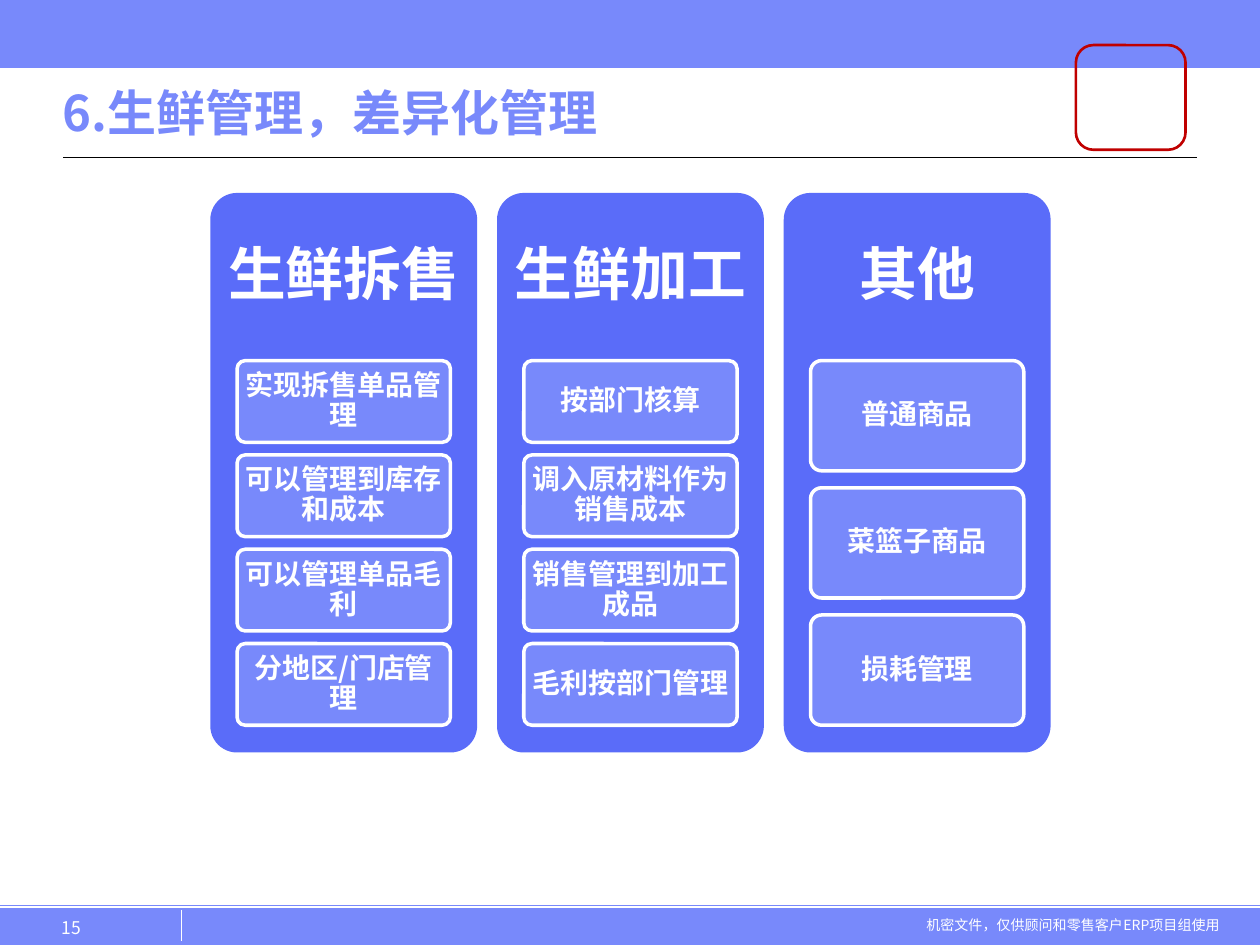
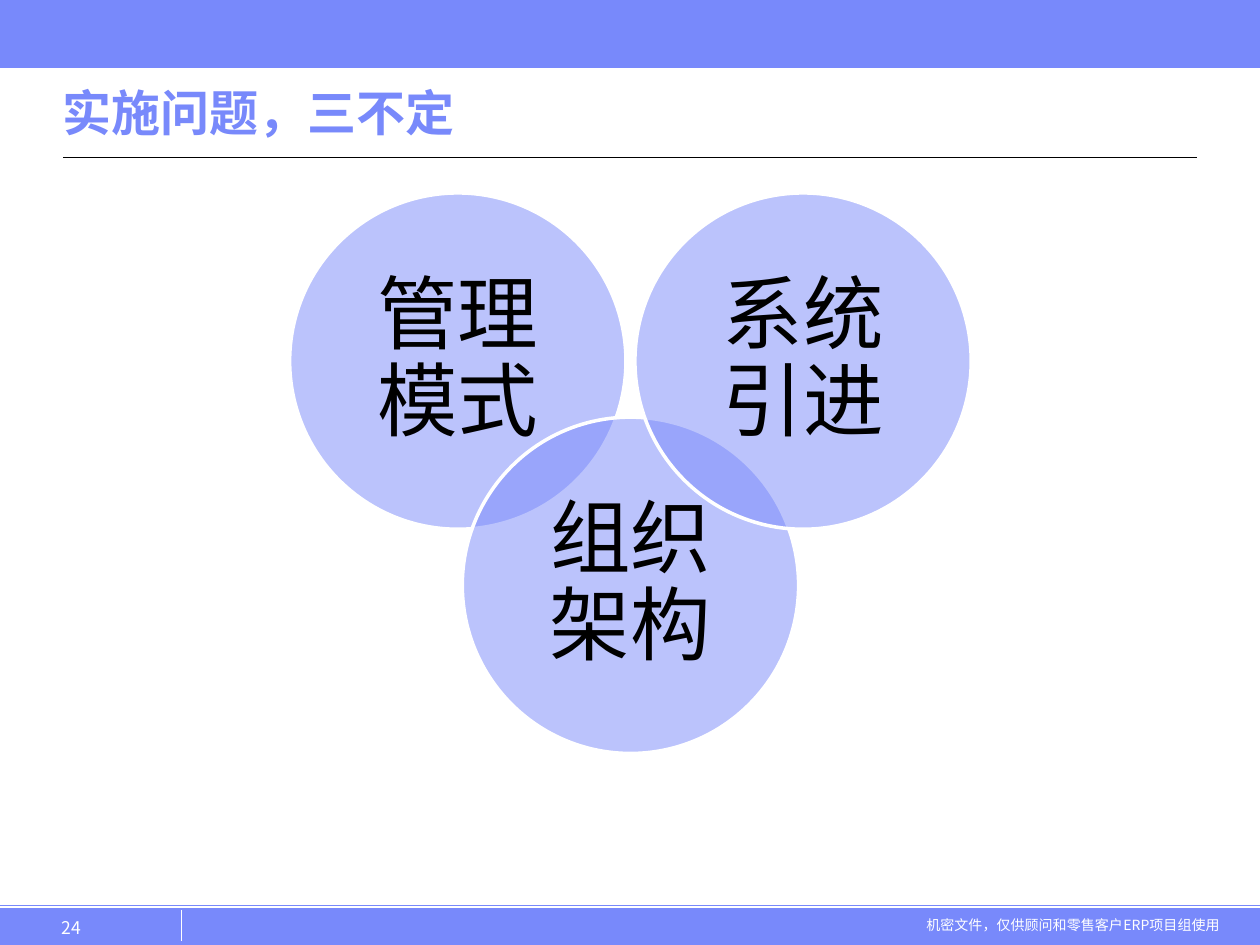
"""Build two slides on fresh goods management and open implementation questions."""
from dataclasses import dataclass

from lxml import etree
from pptx import Presentation
from pptx.dml.color import RGBColor
from pptx.enum.shapes import MSO_CONNECTOR, MSO_SHAPE
from pptx.enum.text import MSO_ANCHOR, PP_ALIGN
from pptx.oxml.ns import qn
from pptx.util import Cm, Pt

STRAIGHT = MSO_CONNECTOR.STRAIGHT
RECTANGLE = MSO_SHAPE.RECTANGLE
ROUNDED = MSO_SHAPE.ROUNDED_RECTANGLE
OVAL = MSO_SHAPE.OVAL
TOP, MIDDLE, BOTTOM = MSO_ANCHOR.TOP, MSO_ANCHOR.MIDDLE, MSO_ANCHOR.BOTTOM
LEFT, CENTER, RIGHT = PP_ALIGN.LEFT, PP_ALIGN.CENTER, PP_ALIGN.RIGHT


@dataclass(frozen=True)
class Theme:
    """Colours, fonts and type sizes shared by the slides."""
    band: str = "7889FB"
    column: str = "5A6CF9"
    frame: str = "C00000"
    white: str = "FFFFFF"
    black: str = "000000"
    font: str = "Noto Sans CJK SC"
    circle_font: str = "Arial"
    title_size: float = 28
    column_size: float = 33
    item_size: float = 16
    circle_size: float = 46
    number_size: float = 10
    footer_size: float = 8


THEME = Theme()
FOOTER = "机密文件，仅供顾问和零售客户ERP项目组使用"
COLUMNS = (
    ("生鲜拆售", ("实现拆售单品管理", "可以管理到库存和成本", "可以管理单品毛利", "分地区/门店管理")),
    ("生鲜加工", ("按部门核算", "调入原材料作为销售成本", "销售管理到加工成品", "毛利按部门管理")),
    ("其他", ("普通商品", "菜篮子商品", "损耗管理")),
)
CIRCLES = ("管理模式", "组织架构", "系统引进")


def write(shape, text, size, color, margins, bold=False, align=LEFT,
          anchor=TOP, spacing=1.0, font=THEME.font):
    """Write one run into a shape; margins are left, top, right, bottom in cm."""
    frame = shape.text_frame
    frame.word_wrap = True
    frame.vertical_anchor = anchor
    (frame.margin_left, frame.margin_top,
     frame.margin_right, frame.margin_bottom) = map(Cm, margins)
    paragraph = frame.paragraphs[0]
    paragraph.alignment = align
    paragraph.line_spacing = spacing
    run = paragraph.add_run()
    run.text = text
    run.font.name = font
    run.font.size = Pt(size)
    run.font.bold = bold
    run.font.color.rgb = RGBColor.from_string(color)
    east_asian = etree.SubElement(run.font._element, qn("a:ea"))
    east_asian.set("typeface", THEME.font)


def add_text(slide, box, text, size, color, margins, **style):
    """Add a text box."""
    shape = slide.shapes.add_textbox(*map(Cm, box))
    write(shape, text, size, color, margins, **style)


def add_block(slide, kind, box, fill=None, line=None, width=0.75):
    """Add a preset shape with an optional fill and outline."""
    shape = slide.shapes.add_shape(kind, *map(Cm, box))
    shape.shadow.inherit = False
    if fill:
        shape.fill.solid()
        shape.fill.fore_color.rgb = RGBColor.from_string(fill)
    else:
        shape.fill.background()
    if line:
        shape.line.color.rgb = RGBColor.from_string(line)
        shape.line.width = Pt(width)
    else:
        shape.line.fill.background()
    return shape


def add_line(slide, ends, color, width):
    """Add a straight line between two points."""
    line = slide.shapes.add_connector(STRAIGHT, *map(Cm, ends))
    line.line.color.rgb = RGBColor.from_string(color)
    line.line.width = Pt(width)
    etree.SubElement(line._element.spPr, qn("a:effectLst"))


def add_base_slide(presentation, title, number):
    """Add a slide with bands, rules, title, page number and footer."""
    slide = presentation.slides.add_slide(presentation.slide_layouts[6])
    for box in ((0, 18.31, 25.4, 0.74), (0, 0, 25.4, 1.35)):
        add_block(slide, RECTANGLE, box, THEME.band, THEME.band)
    add_text(slide, (17.53, 18.39, 7.31, 0.61), FOOTER, THEME.footer_size, THEME.white,
             (0.25, 0.13, 0.25, 0.13), align=RIGHT, spacing=0.9)
    add_line(slide, (3.66, 18.97, 3.66, 18.34), THEME.white, 0.75)
    add_line(slide, (0, 18.26, 25.4, 18.26), THEME.band, 0.5)
    add_line(slide, (1.27, 3.17, 24.13, 3.17), THEME.black, 0.75)
    add_text(slide, (1.27, 1.55, 22.86, 1.42), title, THEME.title_size, THEME.band,
             (0, 0.13, 0, 0.13), bold=True, anchor=BOTTOM)
    add_text(slide, (0.84, 18.31, 2.77, 0.74), number, THEME.number_size, THEME.white,
             (0.4, 0.18, 0.25, 0.13))
    return slide


def add_column(slide, left, heading, items):
    """Add a headed column whose items share the height evenly."""
    top, width, heading_height = 3.89, 5.38, 3.38
    item_inset, items_height, gap_ratio = 0.54, 7.35, 0.154
    column = add_block(slide, ROUNDED, (left, top, width, 11.28), THEME.column)
    column.adjustments[0] = 0.1
    add_text(slide, (left, top, width, heading_height), heading, THEME.column_size,
             THEME.white, (0.35,) * 4, bold=True, align=CENTER, anchor=MIDDLE, spacing=0.9)
    height = items_height / (len(items) + gap_ratio * (len(items) - 1))
    for index, text in enumerate(items):
        item_top = top + heading_height + index * height * (1 + gap_ratio)
        box = (left + item_inset, item_top, width - 2 * item_inset, height)
        item = add_block(slide, ROUNDED, box, THEME.band, THEME.white, 2)
        item.adjustments[0] = 0.1
        write(item, text, THEME.item_size, THEME.white, (0.1, 0.08, 0.1, 0.08),
              bold=True, align=CENTER, anchor=MIDDLE, spacing=0.9)


def add_circle(slide, left, top, text):
    """Add a half-transparent circle with its label."""
    circle = add_block(slide, OVAL, (left, top, 6.78, 6.78), THEME.band, THEME.white, 2)
    color = circle._element.spPr.find(qn("a:solidFill"))[0]
    etree.SubElement(color, qn("a:alpha")).set("val", "50000")
    write(circle, text, THEME.circle_size, THEME.black, (0.48,) * 4, align=CENTER,
          anchor=MIDDLE, spacing=0.9, font=THEME.circle_font)


def main():
    """Build and save the presentation."""
    presentation = Presentation()
    presentation.slide_width = Cm(25.4)
    presentation.slide_height = Cm(19.05)

    fresh_slide = add_base_slide(presentation, "6.生鲜管理，差异化管理", "15")
    add_block(fresh_slide, ROUNDED, (21.69, 0.91, 2.21, 2.11), line=THEME.frame, width=1.5)
    for index, (heading, items) in enumerate(COLUMNS):
        add_column(fresh_slide, 4.24 + index * 5.78, heading, items)

    issues_slide = add_base_slide(presentation, "实施问题，三不定", "24")
    for index, text in enumerate(CIRCLES):
        add_circle(issues_slide, 5.84 + index * 3.48, 3.89 + index % 2 * 4.52, text)

    presentation.save("out.pptx")


if __name__ == "__main__":
    main()
